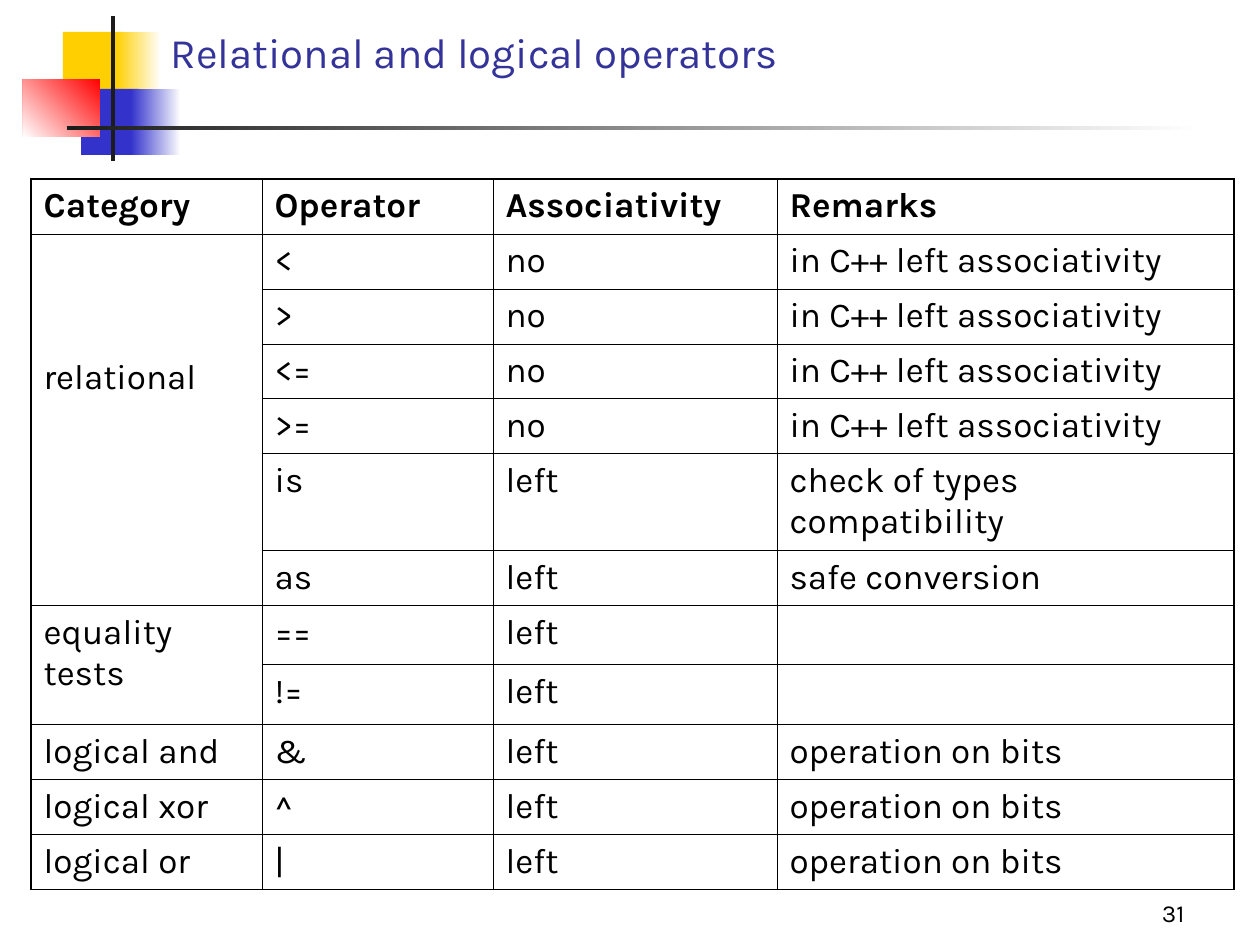
import pptx
import pptx.dml.color
import pptx.enum.shapes
import pptx.enum.text
import pptx.oxml
import pptx.oxml.ns
import pptx.util

RGB = pptx.dml.color.RGBColor
WHITE = RGB(0xFF, 0xFF, 0xFF)
BLACK = RGB(0x00, 0x00, 0x00)
YELLOW = RGB(0xFF, 0xCF, 0x01)
BLUE = RGB(0x33, 0x33, 0xCC)
RED = RGB(0xFF, 0x00, 0x00)
CHARCOAL = RGB(0x1C, 0x1C, 0x1C)
TITLE_BLUE = RGB(0x33, 0x33, 0x99)
FONT = "Karla"

# Content
TITLE = "Relational and logical operators"
PAGE_NUMBER = "31"
HEADER = ("Category", "Operator", "Associativity", "Remarks")
CPP_REMARK = "in C++ left associativity"
BITS_REMARK = "operation on bits"
CATEGORIES = [
    ("relational", [
        ("<", "no", CPP_REMARK),
        (">", "no", CPP_REMARK),
        ("<=", "no", CPP_REMARK),
        (">=", "no", CPP_REMARK),
        ("is", "left", "check of types compatibility"),
        ("as", "left", "safe conversion"),
    ]),
    ("equality tests", [("==", "left", ""), ("!=", "left", "")]),
    ("logical and", [("&", "left", BITS_REMARK)]),
    ("logical xor", [("^", "left", BITS_REMARK)]),
    ("logical or", [("|", "left", BITS_REMARK)]),
]

# Layout, in px
PX_PER_INCH = 126
SLIDE_WIDTH, SLIDE_HEIGHT = 1260, 945
TABLE_LEFT, TABLE_TOP = 31, 179
COLUMN_WIDTHS = (231, 231, 284, 457)
ROW_HEIGHT = 55
TALL_ROWS = {"is": 97, "==": 59, "!=": 60}
RELATIONAL_TOP_MARGIN = 123
INNER_LINE, OUTER_LINE = pptx.util.Pt(0.45), pptx.util.Pt(1.08)

# Box, colour at the start, colour at the end, gradient angle
ORNAMENTS = [
    ((63, 32, 60, 66), YELLOW, YELLOW, 0),
    ((116, 32, 45, 66), WHITE, YELLOW, 180),
    ((81, 89, 58, 66), BLUE, BLUE, 0),
    ((131, 89, 50, 66), WHITE, BLUE, 180),
    ((23, 79, 77, 58), RED, WHITE, 225),
    ((111, 16, 4, 145), CHARCOAL, CHARCOAL, 0),
    ((67, 126, 1134, 4), WHITE, CHARCOAL, 180),
]


def px(length):
    return pptx.util.Emu(round(length * 914400 / PX_PER_INCH))


def style(paragraph, size, color, bold=False):
    paragraph.font.name = FONT
    paragraph.font.size = pptx.util.Pt(size)
    paragraph.font.color.rgb = color
    paragraph.font.bold = bold


def add_ornament(slide, box, start, end, angle):
    block = slide.shapes.add_shape(
        pptx.enum.shapes.MSO_SHAPE.RECTANGLE, *map(px, box))
    block.shadow.inherit = False
    block.line.fill.background()
    if start == end:
        block.fill.solid()
        block.fill.fore_color.rgb = start
        return
    block.fill.gradient()
    block.fill.gradient_angle = angle
    for stop, color, position in zip(block.fill.gradient_stops, (start, end), (0, 1)):
        stop.color.rgb = color
        stop.position = position


def add_label(slide, box, text, size, color, align):
    frame = slide.shapes.add_textbox(*map(px, box)).text_frame
    frame.word_wrap = True
    frame.vertical_anchor = pptx.enum.text.MSO_ANCHOR.BOTTOM
    label = frame.paragraphs[0]
    label.text = text
    label.alignment = align
    style(label, size, color)


def set_borders(cell, outer_sides):
    properties = cell._tc.get_or_add_tcPr()
    for side in "LRTB":
        width = OUTER_LINE if side in outer_sides else INNER_LINE
        properties.append(pptx.oxml.parse_xml(
            f'<a:ln{side} {pptx.oxml.ns.nsdecls("a")} w="{width}"><a:solidFill>'
            f'<a:srgbClr val="{BLACK}"/></a:solidFill></a:ln{side}>'))


def add_operator_table(slide):
    rows = [HEADER]
    spans = []
    for category, operators in CATEGORIES:
        spans.append((len(rows), len(operators)))
        for index, operator in enumerate(operators):
            rows.append(("" if index else category, *operator))

    heights = [TALL_ROWS.get(operator, ROW_HEIGHT) for _, operator, _, _ in rows]
    table = slide.shapes.add_table(
        len(rows), len(HEADER), px(TABLE_LEFT), px(TABLE_TOP),
        px(sum(COLUMN_WIDTHS)), px(sum(heights))).table
    table.first_row = table.horz_banding = False
    for column, width in zip(table.columns, COLUMN_WIDTHS):
        column.width = px(width)

    last_row, last_column = len(rows) - 1, len(HEADER) - 1
    for r, row in enumerate(rows):
        table.rows[r].height = px(heights[r])
        for c, text in enumerate(row):
            cell = table.cell(r, c)
            edges = {"L": c == 0, "R": c == last_column,
                     "T": r == 0, "B": r == last_row}
            set_borders(cell, [side for side, outer in edges.items() if outer])
            cell.fill.background()
            entry = cell.text_frame.paragraphs[0]
            if text:
                entry.text = text
            style(entry, 20, BLACK, bold=r == 0)

    # Category cells run down over their operators
    for first, count in spans:
        if count > 1:
            table.cell(first, 0).merge(table.cell(first + count - 1, 0))
    table.cell(1, 0).margin_top = px(RELATIONAL_TOP_MARGIN)


def main():
    deck = pptx.Presentation()
    deck.slide_width, deck.slide_height = px(SLIDE_WIDTH), px(SLIDE_HEIGHT)
    slide = deck.slides.add_slide(deck.slide_layouts[6])
    for ornament in ORNAMENTS:
        add_ornament(slide, *ornament)
    align = pptx.enum.text.PP_ALIGN
    add_label(slide, (158, 21, 1074, 62), TITLE, 24, TITLE_BLUE, align.LEFT)
    add_operator_table(slide)
    add_label(slide, (1061, 892, 136, 42), PAGE_NUMBER, 14, BLACK, align.RIGHT)
    deck.save("out.pptx")


if __name__ == "__main__":
    main()
